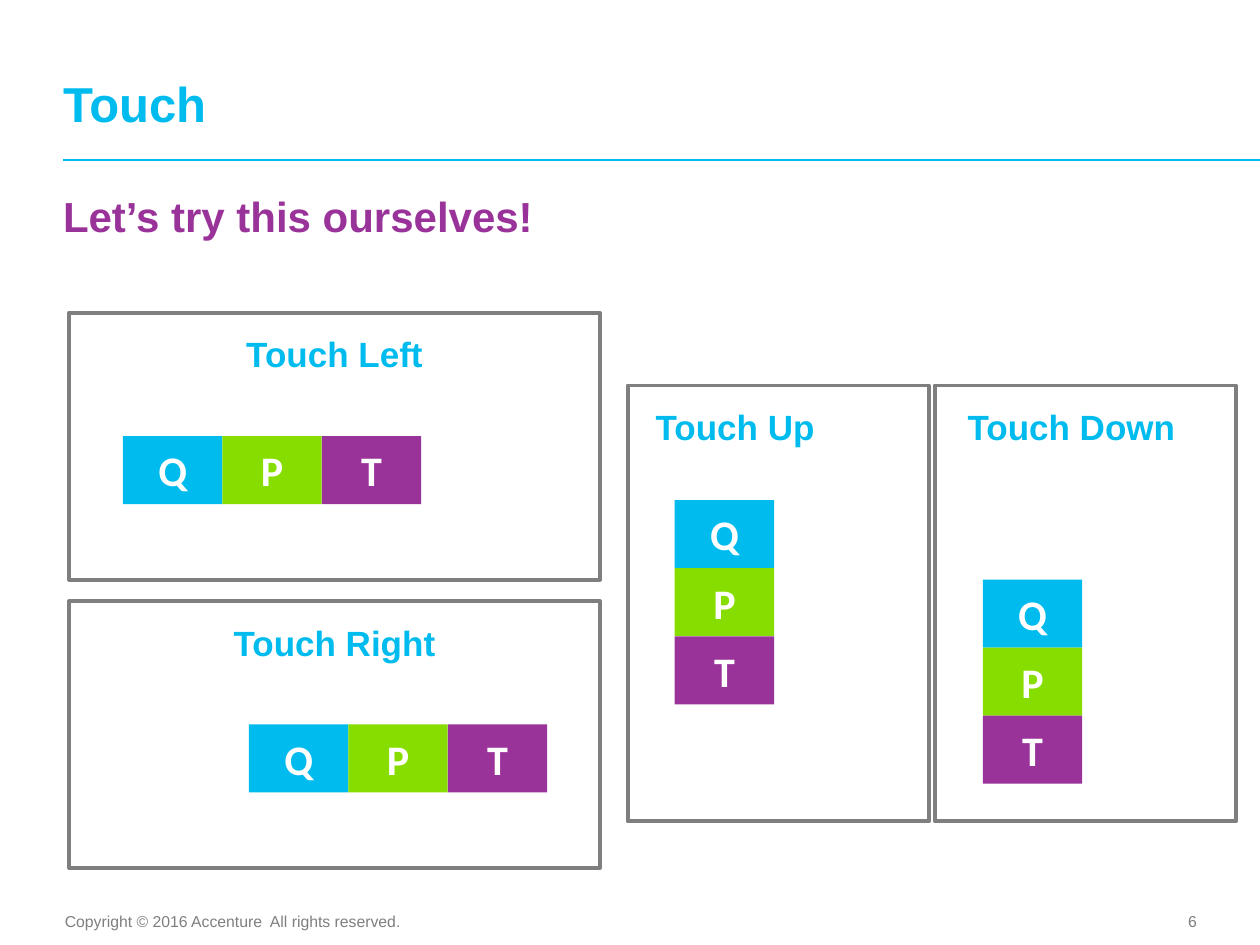
from pptx import Presentation
from pptx import util as u
from pptx.dml.color import RGBColor
from pptx.enum import shapes, text
from pptx.oxml.ns import qn
from lxml import etree

Pt = u.Pt
CYAN, GREEN, PURPLE, GRAY, WHITE = "00BBEE", "88DD00", "993399", "7F7F7F", "FFFFFF"
LEFT, CENTER, RIGHT = text.PP_ALIGN.LEFT, text.PP_ALIGN.CENTER, text.PP_ALIGN.RIGHT
TOP, MIDDLE, BOTTOM = text.MSO_ANCHOR.TOP, text.MSO_ANCHOR.MIDDLE, text.MSO_ANCHOR.BOTTOM
TILES = (("Q", CYAN), ("P", GREEN), ("T", PURPLE))
TILE_WIDTH, TILE_HEIGHT = 56.8, 38.9


def color(value):
    return RGBColor.from_string(value)


def assign(target, values):
    for name, value in values.items():
        setattr(target, name, value)


def write(box, words, size, fill, align=LEFT, anchor=TOP, inset=(0, 0, 0, 0),
          font="Arial", bold=True, wrap=True, spacing=None):
    frame = box.text_frame
    left, top, right, bottom = map(Pt, inset)
    assign(frame, {"word_wrap": wrap, "auto_size": text.MSO_AUTO_SIZE.NONE,
                   "vertical_anchor": anchor, "margin_left": left, "margin_top": top,
                   "margin_right": right, "margin_bottom": bottom})
    para = frame.paragraphs[0]
    assign(para, {"alignment": align, "space_before": Pt(0), "line_spacing": spacing})
    span = para.add_run()
    span.text = words
    assign(span.font, {"name": font, "size": Pt(size), "bold": bold})
    span.font.color.rgb = color(fill)


def add_text(page, place, words, size, fill, **style):
    box = page.shapes.add_textbox(*map(Pt, place))
    write(box, words, size, fill, **style)


def add_rectangle(page, place, fill=None, line=None):
    box = page.shapes.add_shape(shapes.MSO_SHAPE.RECTANGLE, *map(Pt, place))
    box.shadow.inherit = False
    if fill:
        box.fill.solid()
        box.fill.fore_color.rgb = color(fill)
    else:
        box.fill.background()
    if line:
        box.line.color.rgb = color(line)
        box.line.width = Pt(2.25)
    else:
        box.line.fill.background()
    return box


def add_header(page, left, top, width, height):
    title = page.shapes.title
    assign(title, {"left": Pt(left), "top": Pt(top), "width": Pt(width), "height": Pt(height)})
    write(title, "Touch", 28, CYAN, anchor=BOTTOM, spacing=Pt(26))
    rule_top = top + height + 15.8
    rule = page.shapes.add_connector(shapes.MSO_CONNECTOR.STRAIGHT,
                                     *map(Pt, (left, rule_top, 720, rule_top)))
    rule.line.color.rgb = color(CYAN)
    rule.line.width = Pt(1)
    etree.SubElement(rule._element.spPr, qn("a:effectLst"))
    add_text(page, (left, rule_top + 17.3, 431.3, 56.2),
             "Let’s try this ourselves!", 24, PURPLE)


def add_panel(page, place, caption, caption_span, tile_offset, vertical):
    left, top, width, height = place
    shift, caption_width = caption_span
    across, down = tile_offset
    for index, (letter, fill) in enumerate(TILES):
        step_x, step_y = (0, TILE_HEIGHT) if vertical else (TILE_WIDTH, 0)
        tile = add_rectangle(page, (left + across + index * step_x,
                                    top + down + index * step_y,
                                    TILE_WIDTH, TILE_HEIGHT), fill=fill)
        write(tile, letter, 24, WHITE, align=CENTER, anchor=MIDDLE,
              inset=(5.8,) * 4, font="Calibri", wrap=False)
    add_text(page, (left + shift, top + 8.6, caption_width, 30.2), caption, 20, CYAN,
             align=CENTER, inset=(2.9,) * 4)
    add_rectangle(page, place, line=GRAY)


def add_footer(page, left, top, width, height):
    add_text(page, (left, top, 202.3, height),
             "Copyright © 2016 Accenture  All rights reserved.", 9, GRAY,
             align=CENTER, inset=(0, 3.6, 7.2, 3.6), bold=False, wrap=False)
    add_text(page, (left + width - 42.5, top, 42.5, height), "6", 9, GRAY,
             align=RIGHT, anchor=MIDDLE, bold=False)


def main():
    deck = Presentation()
    assign(deck, {"slide_width": Pt(720), "slide_height": Pt(540)})
    page = deck.slides.add_slide(deck.slide_layouts[5])
    add_header(page, 36, 13.7, 645.8, 61.9)
    wide, tall = (303.1, 152.6), (172.1, 249.1)
    panels = (
        ((39.6, 178.6, *wide), "Touch Left", (0, 303.1), (30.7, 70.6), False),
        ((358.6, 220.3, *tall), "Touch Up", (-2.2, 127.4), (27, 65.5), True),
        ((39.6, 343.4, *wide), "Touch Right", (0, 303.1), (102.7, 70.6), False),
        ((534.2, 220.3, *tall), "Touch Down", (14.4, 127.4), (27.4, 110.9), True),
    )
    for panel in panels:
        add_panel(page, *panel)
    add_footer(page, 35.3, 517.3, 648.7, 18.7)
    deck.save("out.pptx")


if __name__ == "__main__":
    main()
